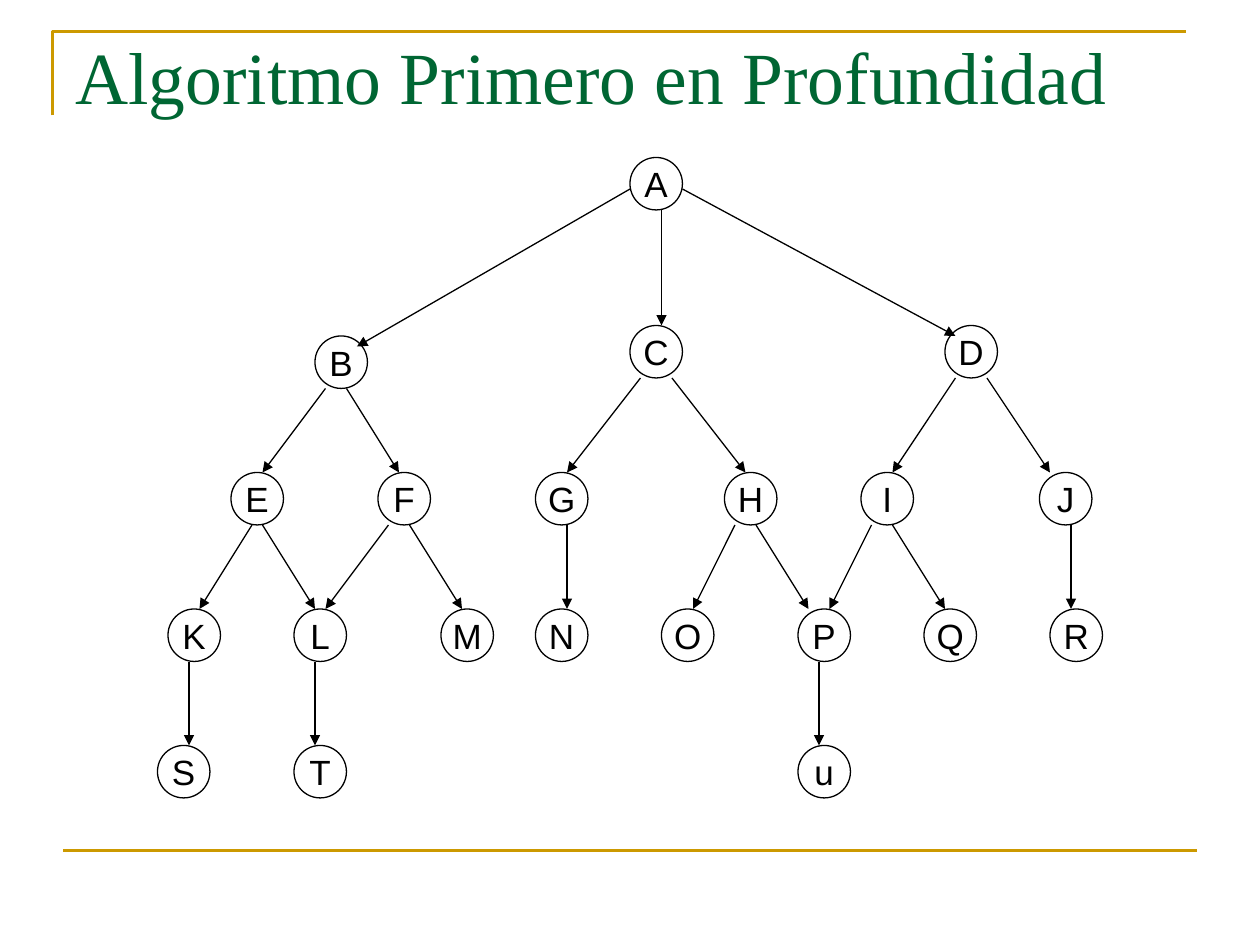
from pptx import Presentation
from pptx.dml.color import RGBColor as RGB
from pptx.enum.shapes import MSO_CONNECTOR as CONN, MSO_SHAPE as SHAPE
from pptx.enum.text import MSO_ANCHOR as ANCHOR, PP_ALIGN as ALIGN
from pptx.oxml.ns import qn
from pptx.util import Pt
from lxml.etree import SubElement

COLORS = {"title": "006633", "rule": "CC9900", "ink": "000000", "node": "FFFFFF"}
TITLE = "Algoritmo Primero en Profundidad"
FRAME = [(30, 66), (30, 18), (678, 18)]
FOOTER = [(36, 486), (684, 486)]
NODE_SIZE = 30

LEVELS = [
    (90, {"A": 360}),
    (192, {"B": 180}),
    (186, {"C": 360, "D": 540}),
    (270, {"E": 132, "F": 216, "G": 306, "H": 414, "I": 492, "J": 594}),
    (348, {"K": 96, "L": 168, "M": 252, "N": 306,
           "O": 378, "P": 456, "Q": 528, "R": 600}),
    (426, {"S": 90, "T": 168, "u": 456}),
]
NODES = {name: (x, y) for y, level in LEVELS for name, x in level.items()}

# parent, child, start x, end x
EDGES = [
    ("A", "B", 360, 204), ("A", "C", 378, 378), ("A", "D", 390, 546),
    ("B", "E", 186, 150), ("B", "F", 198, 228),
    ("C", "G", 366, 324), ("C", "H", 384, 426),
    ("D", "I", 546, 510), ("D", "J", 564, 600),
    ("E", "K", 144, 114), ("E", "L", 150, 180),
    ("F", "L", 222, 186), ("F", "M", 234, 264),
    ("G", "N", 324, 324),
    ("H", "O", 420, 396), ("H", "P", 432, 462),
    ("I", "P", 498, 474), ("I", "Q", 510, 540),
    ("J", "R", 612, 612),
    ("K", "S", 108, 108), ("L", "T", 180, 180), ("P", "u", 468, 468),
]
SIDE_EDGES = {("A", "B"), ("A", "D")}
SIDE_RISE, SIDE_DROP = 12, 6


def color(name):
    return RGB.from_string(COLORS[name])


def style_line(line, name, width):
    line.color.rgb = color(name)
    line.width = Pt(width)


def style_font(p, face, size, name):
    p.font.name = face
    p.font.size = Pt(size)
    p.font.color.rgb = color(name)


def add_line(s, start, end, name, width, arrow=False):
    line = s.shapes.add_connector(CONN.STRAIGHT, *map(Pt, start + end))
    style_line(line.line, name, width)
    if arrow:
        SubElement(line.line._get_or_add_ln(), qn("a:tailEnd"), type="triangle")
    SubElement(line._element.spPr, qn("a:effectLst"))


def add_frame(s):
    (x, y), *rest = [tuple(map(Pt, point)) for point in FRAME]
    builder = s.shapes.build_freeform(x, y)
    builder.add_line_segments(rest, close=False)
    sp = builder.convert_to_shape()
    sp.shadow.inherit = False
    sp.fill.background()
    style_line(sp.line, "rule", 1.5)


def add_title(s):
    tf = s.shapes.add_textbox(Pt(36), Pt(21.6), Pt(647.3), Pt(89.3)).text_frame
    tf.word_wrap = True
    p = tf.paragraphs[0]
    p.text = TITLE
    p.line_spacing = 0.86
    style_font(p, "Times New Roman", 42, "title")


def add_node(s, name, x, y):
    sp = s.shapes.add_shape(SHAPE.OVAL, Pt(x), Pt(y), Pt(NODE_SIZE), Pt(NODE_SIZE))
    sp.shadow.inherit = False
    sp.fill.solid()
    sp.fill.fore_color.rgb = color("node")
    style_line(sp.line, "ink", 0.75)
    tf = sp.text_frame
    tf.word_wrap = False
    tf.vertical_anchor = ANCHOR.MIDDLE
    p = tf.paragraphs[0]
    p.text = name
    p.alignment = ALIGN.CENTER
    style_font(p, "Arial", 20, "ink")


def add_edge(s, parent, child, x1, x2):
    y1, y2 = NODES[parent][1] + NODE_SIZE, NODES[child][1]
    if (parent, child) in SIDE_EDGES:
        y1, y2 = y1 - SIDE_RISE, y2 + SIDE_DROP
    add_line(s, (x1, y1), (x2, y2), "ink", 0.75, arrow=True)


def main():
    prs = Presentation()
    prs.slide_width, prs.slide_height = Pt(720), Pt(540)
    s = prs.slides.add_slide(prs.slide_layouts[6])
    add_frame(s)
    add_line(s, *FOOTER, "rule", 1.5)
    add_title(s)
    for name, (x, y) in NODES.items():
        add_node(s, name, x, y)
    for edge in EDGES:
        add_edge(s, *edge)
    prs.save("out.pptx")


if __name__ == "__main__":
    main()
